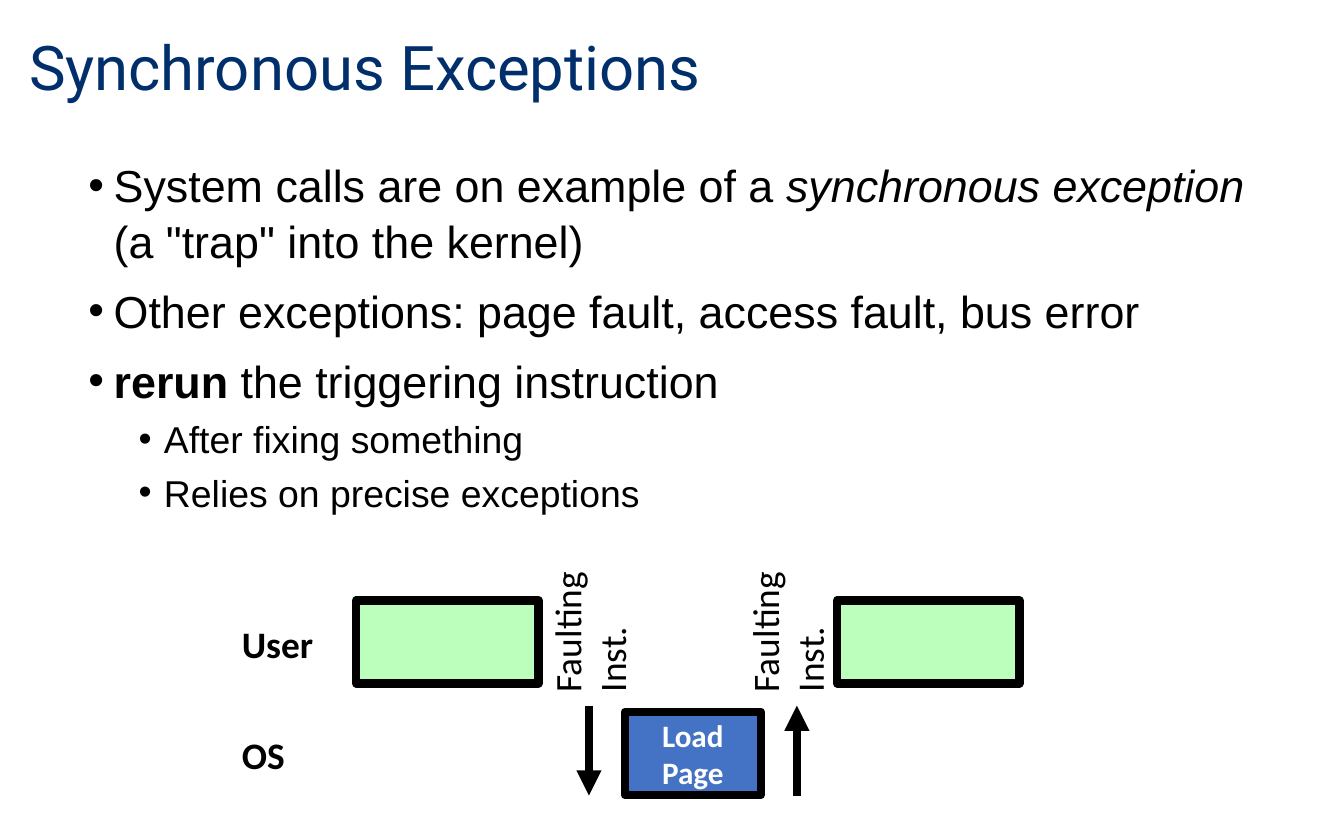
from typing import NamedTuple

from lxml.etree import SubElement
from pptx import Presentation
from pptx.dml.color import RGBColor as Rgb
from pptx.enum.shapes import MSO_CONNECTOR as Connector, MSO_SHAPE as Preset
from pptx.enum.text import MSO_ANCHOR as Anchor, PP_ALIGN as Align
from pptx.oxml.ns import qn
from pptx.util import Cm, Pt


class Theme(NamedTuple):
    navy: Rgb = Rgb(0x00, 0x2F, 0x6C)
    black: Rgb = Rgb(0, 0, 0)
    white: Rgb = Rgb(0xFF, 0xFF, 0xFF)
    green: Rgb = Rgb(0xBC, 0xFF, 0xBC)
    blue: Rgb = Rgb(0x44, 0x72, 0xC4)
    title_font: str = "Roboto"
    body_font: str = "Arial"
    label_font: str = "Calibri"
    title_size: float = 33
    body_size: float = 24
    label_size: float = 20
    box_size: float = 16.7
    line_width: float = 4.5


class Area(NamedTuple):
    """Position and size in centimetres."""
    left: float
    top: float
    width: float
    height: float


class Span(NamedTuple):
    text: str
    bold: bool = False
    italic: bool = False


class Bullet(NamedTuple):
    spans: list[Span]
    level: int = 0


class Level(NamedTuple):
    size: float
    margin: float
    space_before: float


class Arrow(NamedTuple):
    x: float
    start: float
    end: float


THEME = Theme()
LEVELS = [Level(THEME.body_size, 0.48, 7.5), Level(THEME.label_size, 1.43, 3.8)]
HANGING = 0.48

BULLETS = [
    Bullet([Span("System calls are on example of a "),
            Span("synchronous exception ", italic=True),
            Span('(a "trap" into the kernel)')]),
    Bullet([Span("Other exceptions: page fault, access fault, bus error")]),
    Bullet([Span("rerun", bold=True), Span(" the triggering instruction")]),
    Bullet([Span("After fixing something")], level=1),
    Bullet([Span("Relies on precise exceptions")], level=1),
]

# Rows and columns of the diagram
USER_TOP, OS_TOP, BLOCK_HEIGHT = 11.35, 13.46, 1.57
USER_BLOCKS = [6.73, 15.82]
ROW_LABELS = {"User": 11.61, "OS": 13.72}
FAULT_LABELS = [9.6, 13.34]
ARROW_TOP, ARROW_BOTTOM = 13.34, 15.04
ARROWS = [Arrow(11.13, ARROW_TOP, ARROW_BOTTOM),
          Arrow(15.06, ARROW_BOTTOM, ARROW_TOP)]


def write_spans(paragraph, spans: list[Span], *, size: float, font: str,
                color: Rgb = THEME.black, align=Align.LEFT,
                line_spacing: float = 1.0) -> None:
    paragraph.alignment = align
    paragraph.line_spacing = line_spacing
    for span in spans:
        run = paragraph.add_run()
        run.text = span.text
        run.font.size, run.font.name = Pt(size), font
        run.font.bold, run.font.italic = span.bold, span.italic
        run.font.color.rgb = color


def add_text_frame(slide, area: Area, anchor=Anchor.TOP, rotation: float = 0):
    shape = slide.shapes.add_textbox(*map(Cm, area))
    shape.rotation = rotation
    shape.text_frame.word_wrap = True
    shape.text_frame.vertical_anchor = anchor
    return shape.text_frame


def add_bullets(slide, area: Area, bullets: list[Bullet]) -> None:
    frame = add_text_frame(slide, area)
    for index, bullet in enumerate(bullets):
        paragraph = frame.add_paragraph() if index else frame.paragraphs[0]
        level = LEVELS[bullet.level]
        paragraph.level = bullet.level
        properties = paragraph._p.get_or_add_pPr()
        properties.set("marL", str(Cm(level.margin)))
        properties.set("indent", str(-Cm(HANGING)))
        SubElement(properties, qn("a:buFont")).set("typeface", THEME.body_font)
        SubElement(properties, qn("a:buChar")).set("char", "•")
        if index:
            paragraph.space_before = Pt(level.space_before)
        write_spans(paragraph, bullet.spans, size=level.size,
                    font=THEME.body_font, line_spacing=1.04)


def add_label(slide, area: Area, text: str, bold: bool = False,
              rotation: float = 0) -> None:
    frame = add_text_frame(slide, area, rotation=rotation)
    write_spans(frame.paragraphs[0], [Span(text, bold)],
                size=THEME.label_size, font=THEME.label_font)


def add_block(slide, area: Area, fill: Rgb, text: str = "") -> None:
    shape = slide.shapes.add_shape(Preset.RECTANGLE, *map(Cm, area))
    shape.shadow.inherit = False
    shape.fill.solid()
    shape.fill.fore_color.rgb = fill
    shape.line.color.rgb = THEME.black
    shape.line.width = Pt(THEME.line_width)
    if text:
        shape.text_frame.word_wrap = True
        shape.text_frame.vertical_anchor = Anchor.MIDDLE
        write_spans(shape.text_frame.paragraphs[0], [Span(text, bold=True)],
                    size=THEME.box_size, font=THEME.label_font,
                    color=THEME.white, align=Align.CENTER)


def add_arrow(slide, arrow: Arrow) -> None:
    connector = slide.shapes.add_connector(
        Connector.STRAIGHT, Cm(arrow.x), Cm(arrow.start), Cm(arrow.x), Cm(arrow.end))
    connector.line.color.rgb = THEME.black
    connector.line.width = Pt(THEME.line_width)
    SubElement(connector.line._get_or_add_ln(), qn("a:tailEnd")).set("type", "triangle")
    SubElement(connector._element.spPr, qn("a:effectLst"))


def main() -> None:
    presentation = Presentation()
    presentation.slide_width, presentation.slide_height = Cm(25.4), Cm(15.88)
    slide = presentation.slides.add_slide(presentation.slide_layouts[6])

    # Title and bullets
    title = add_text_frame(slide, Area(0.3, 0.25, 21.64, 2.18), Anchor.MIDDLE)
    write_spans(title.paragraphs[0], [Span("Synchronous Exceptions")],
                size=THEME.title_size, font=THEME.title_font,
                color=THEME.navy, line_spacing=0.9)
    add_bullets(slide, Area(1.42, 2.82, 22.53, 12.65), BULLETS)

    # User and OS rows
    for text, top in ROW_LABELS.items():
        add_label(slide, Area(4.32, top, 2.87, 1.12), text, bold=True)
    for left in USER_BLOCKS:
        add_block(slide, Area(left, USER_TOP, 3.45, BLOCK_HEIGHT), THEME.green)
    add_block(slide, Area(11.81, OS_TOP, 2.57, BLOCK_HEIGHT), THEME.blue, "Load Page")

    # Switches between the rows
    for left in FAULT_LABELS:
        add_label(slide, Area(left, 10.82, 3.07, 1.96), "Faulting Inst.", rotation=270)
    for arrow in ARROWS:
        add_arrow(slide, arrow)

    presentation.save("out.pptx")


if __name__ == "__main__":
    main()
